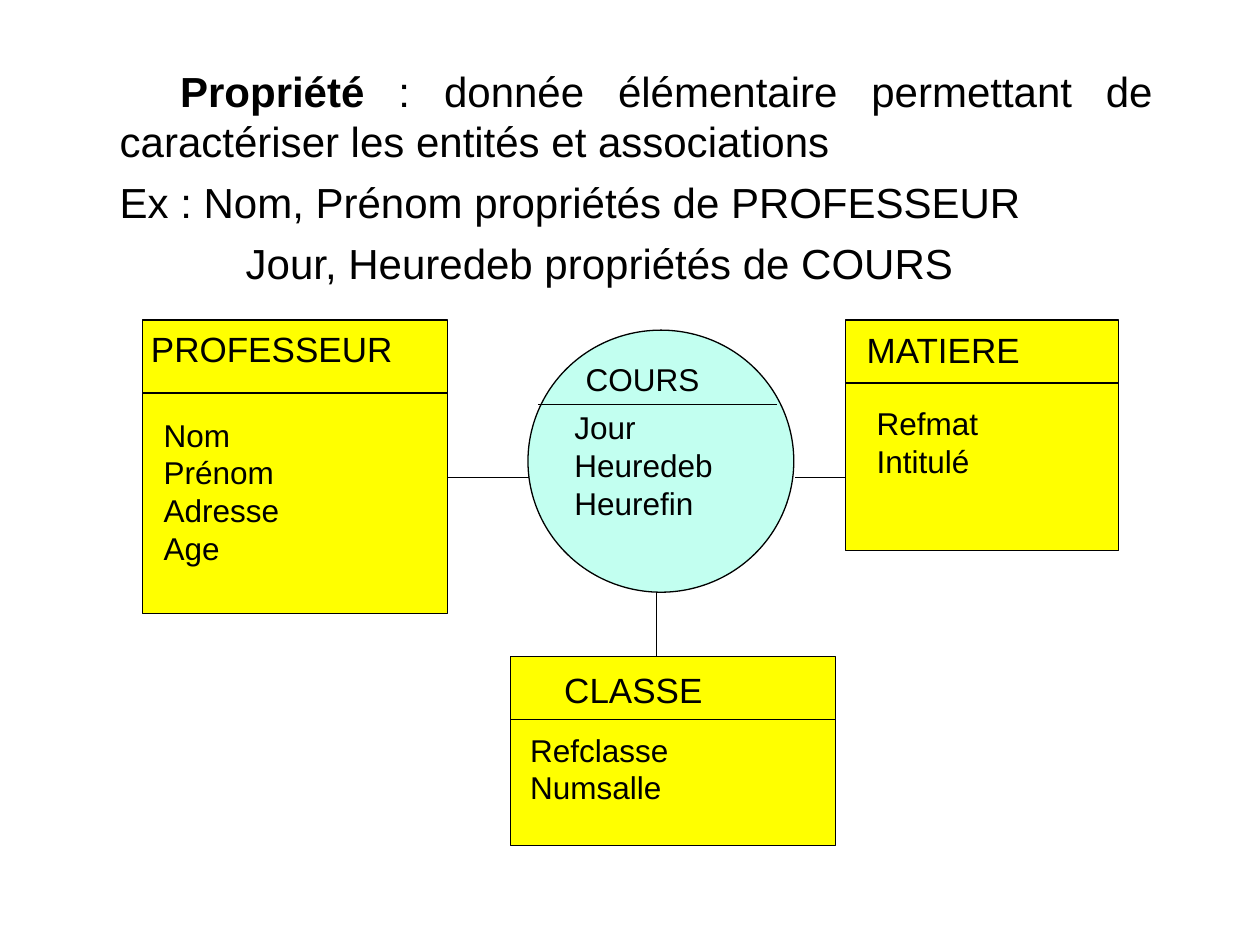
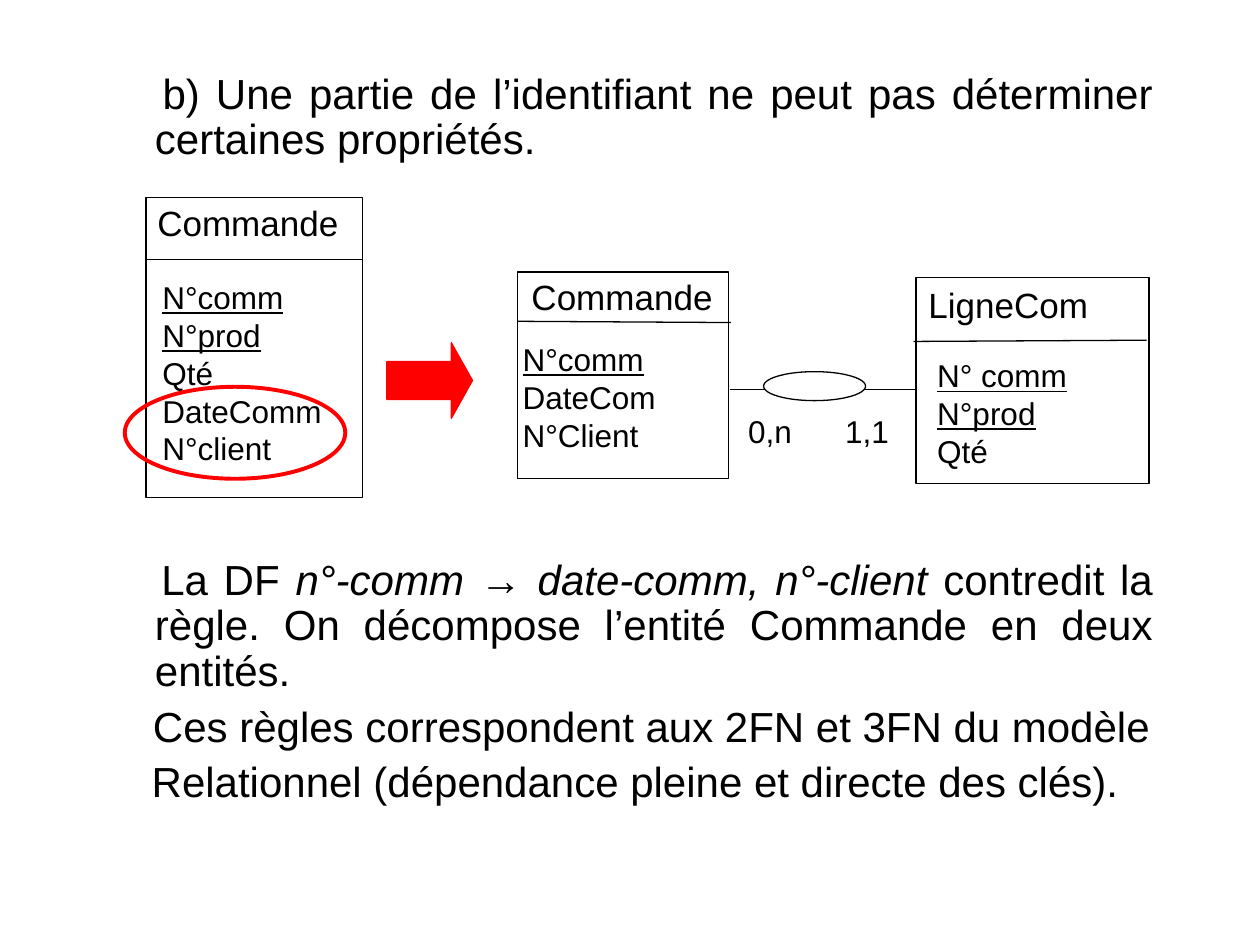
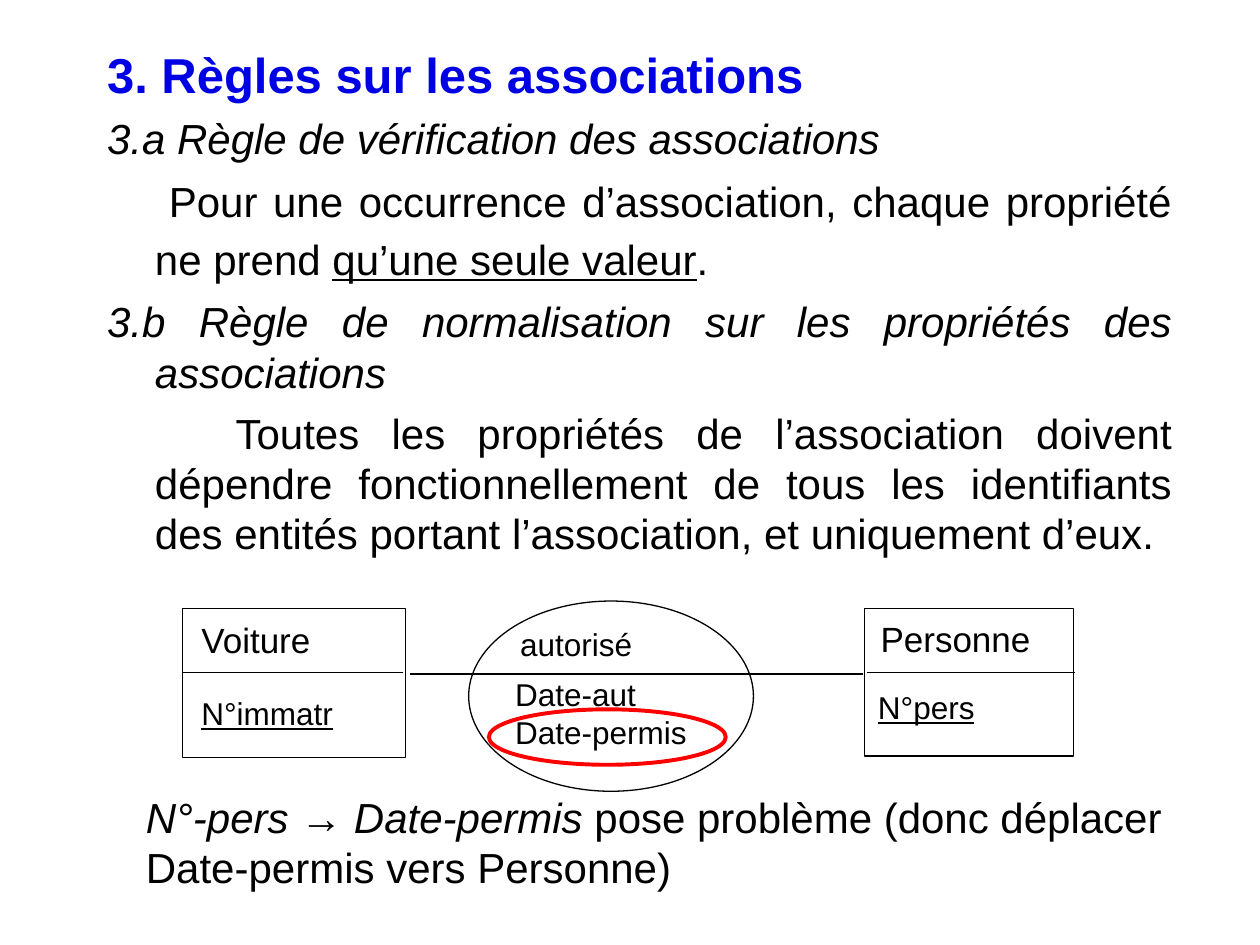
from lxml import etree
from pptx import Presentation
from pptx import util as u
from pptx.dml.color import RGBColor
from pptx.enum import shapes, text
from pptx.oxml.ns import qn

# Shared look
BLACK = RGBColor(0x00, 0x00, 0x00)
WHITE = RGBColor(0xFF, 0xFF, 0xFF)
YELLOW = RGBColor(0xFF, 0xFF, 0x00)
AQUA = RGBColor(0xC2, 0xFF, 0xF0)
RED = RGBColor(0xFF, 0x00, 0x00)
BLUE = RGBColor(0x00, 0x00, 0xE5)
FONT = "Arial"
BODY_SIZE, NAME_SIZE, LIST_SIZE = 24, 20, 18
HANG = 0.38
RECT = shapes.MSO_SHAPE.RECTANGLE
OVAL = shapes.MSO_SHAPE.OVAL
ARROW = shapes.MSO_SHAPE.RIGHT_ARROW
LEFT, CENTER, JUSTIFY = text.PP_ALIGN.LEFT, text.PP_ALIGN.CENTER, text.PP_ALIGN.JUSTIFY


def add_run(paragraph, words, size, style="", color=BLACK):
    """Add one run; style holds any of the letters b, i and u."""
    run = paragraph.add_run()
    run.text = words
    run.font.name, run.font.size = FONT, u.Pt(size)
    run.font.color.rgb = color
    run.font.bold, run.font.italic, run.font.underline = (key in style for key in "biu")


def draw(slide, kind, box, fill=None, line=BLACK, weight=0.75):
    """Draw a shape in left, top, width, height, or a line between two points if kind is None."""
    lengths = [u.Inches(length) for length in box]
    if kind is None:
        item = slide.shapes.add_connector(shapes.MSO_CONNECTOR.STRAIGHT, *lengths)
        etree.SubElement(item._element.spPr, qn("a:effectLst"))
    else:
        item = slide.shapes.add_shape(kind, *lengths)
        item.shadow.inherit = False
        if fill is None:
            item.fill.background()
        else:
            item.fill.solid()
            item.fill.fore_color.rgb = fill
    item.line.color.rgb = line
    item.line.width = u.Pt(weight)
    return item


prs = Presentation()
prs.slide_width, prs.slide_height = u.Inches(10), u.Inches(7.5)

# Texts: title, body box, top inset, line spacing, and paragraphs as
# (alignment, left margin, first-line indent, space before, runs)
contents = [
    (None, (0.47, 0.41, 8.78, 6.26), 0.11, 1.0, [
        (JUSTIFY, HANG, 0.48, 6, [
            ("Propriété ", "b"),
            (": donnée élémentaire permettant de caractériser les entités et associations", "")]),
        (JUSTIFY, HANG, 0, 6, [("Ex : Nom, Prénom propriétés de PROFESSEUR", "")]),
        (JUSTIFY, 1.38, 0, 6, [("Jour, Heuredeb propriétés de COURS", "")]),
    ]),
    (None, (0.75, 0.43, 8.5, 6.24), 0.15, 0.9, [
        (JUSTIFY, HANG, 0.06, 6, [
            ("b) Une partie de l’identifiant ne peut pas déterminer certaines propriétés.", "")]),
        (JUSTIFY, HANG, 0.05, 226, [
            ("La DF ", ""),
            ("n°-comm → date-comm, n°-client ", "i"),
            ("contredit la règle. On décompose l’entité Commande en deux entités.", "")]),
        (CENTER, HANG, -0.04, 6, [("Ces règles correspondent aux 2FN et 3FN du modèle", "")]),
        (CENTER, HANG, -0.3, 6, [("Relationnel (dépendance pleine et directe des clés).", "")]),
    ]),
    ("3. Règles sur les associations", (0.75, 0.84, 8.65, 6.22), 0.05, 1.0, [
        (JUSTIFY, HANG, -HANG, 6, [("3.a Règle de vérification des associations", "i")]),
        (JUSTIFY, HANG, 0.11, 3.5, [
            ("Pour une occurrence d’association, chaque propriété ne prend ", ""),
            ("qu’une seule valeur", "u"),
            (".", "")]),
        (JUSTIFY, HANG, -HANG, 7, [
            ("3.b Règle de normalisation sur les propriétés des associations", "i")]),
        (JUSTIFY, HANG, 0.64, 6, [
            ("Toutes les propriétés de l’association doivent dépendre fonctionnellement de tous "
             "les identifiants des entités portant l’association, et uniquement d’eux.", "")]),
    ]),
]

for heading, box, top_inset, spacing, paragraphs in contents:
    slide = prs.slides.add_slide(prs.slide_layouts[1])
    title, body = slide.placeholders

    # Title
    if heading is None:
        title._element.getparent().remove(title._element)
    else:
        title.left, title.top, title.width, title.height = map(u.Inches, (0.75, 0.3, 8.65, 0.55))
        title.text_frame.vertical_anchor = text.MSO_ANCHOR.TOP
        title.text_frame.auto_size = text.MSO_AUTO_SIZE.NONE
        title.text_frame.paragraphs[0].alignment = LEFT
        add_run(title.text_frame.paragraphs[0], heading, 28, "b", BLUE)

    # Body
    body.left, body.top, body.width, body.height = map(u.Inches, box)
    frame = body.text_frame
    frame.auto_size = text.MSO_AUTO_SIZE.NONE
    frame.margin_top = u.Inches(top_inset)
    for number, (alignment, margin, indent, before, runs) in enumerate(paragraphs):
        paragraph = frame.add_paragraph() if number else frame.paragraphs[0]
        paragraph.alignment = alignment
        paragraph.line_spacing = spacing
        paragraph.space_before = u.Pt(before)
        properties = paragraph._p.get_or_add_pPr()
        properties.set("marL", str(u.Inches(margin)))
        properties.set("indent", str(u.Inches(indent)))
        etree.SubElement(properties, qn("a:buNone"))
        for words, style in runs:
            add_run(paragraph, words, BODY_SIZE, style)

properties_slide, decomposition, association_rules = prs.slides

# The rule 3.a is set wider than the rest
association_rules.placeholders[1].text_frame.paragraphs[1].line_spacing = 1.14

# Links between entities and associations
links = [
    (properties_slide, (3.55, 3.79, 4.22, 3.79)),
    (properties_slide, (6.31, 3.79, 6.71, 3.79)),
    (properties_slide, (5.21, 4.71, 5.21, 5.21)),
    (decomposition, (5.79, 3.09, 7.26, 3.09)),
]
for slide, ends in links:
    draw(slide, None, ends)
draw(decomposition, OVAL, (6.06, 2.95, 0.81, 0.23), WHITE)

# Entities and associations: shape, box, fill, divider, name (left, top, width),
# attribute list (left, top, width), attributes, number of underlined keys
figures = [
    (properties_slide, RECT, (1.13, 2.54, 2.42, 2.33), YELLOW, (1.13, 3.12, 3.55, 3.12),
     "PROFESSEUR", (1.1, 2.55, 2.3), (1.2, 3.25, 1.4), ["Nom", "Prénom", "Adresse", "Age"], 0),
    (properties_slide, OVAL, (4.19, 2.62, 2.11, 2.08), AQUA, (4.27, 3.21, 6.17, 3.21),
     "COURS", (4.55, 2.81, 1.3), (4.46, 3.19, 1.6), ["Jour", "Heuredeb", "Heurefin"], 0),
    (properties_slide, RECT, (6.71, 2.54, 2.17, 1.83), YELLOW, (6.71, 3.04, 8.88, 3.04),
     "MATIERE", (6.78, 2.56, 1.6), (6.86, 3.16, 1.3), ["Refmat", "Intitulé"], 0),
    (properties_slide, RECT, (4.05, 5.21, 2.58, 1.5), YELLOW, (4.05, 5.71, 6.63, 5.71),
     "CLASSE", (4.38, 5.26, 1.5), (4.11, 5.75, 1.5), ["Refclasse", "Numsalle"], 0),
    (decomposition, RECT, (1.16, 1.57, 1.72, 2.38), WHITE, (1.16, 2.06, 2.88, 2.06),
     "Commande", (1.15, 1.55, 1.8), (1.19, 2.16, 1.7),
     ["N°comm", "N°prod", "Qté", "DateComm", "N°client"], 2),
    (decomposition, RECT, (4.11, 2.16, 1.67, 1.64), WHITE, (4.11, 2.55, 5.8, 2.56),
     "Commande", (4.12, 2.14, 1.8), (4.05, 2.65, 1.65), ["N°comm", "DateCom", "N°Client"], 1),
    (decomposition, RECT, (7.27, 2.2, 1.85, 1.64), WHITE, (7.25, 2.71, 9.1, 2.7),
     "LigneCom", (7.27, 2.2, 1.8), (7.34, 2.78, 1.76), ["N° comm", "N°prod", "Qté"], 2),
    (association_rules, RECT, (1.45, 4.83, 1.77, 1.18), WHITE, (1.45, 5.34, 3.2, 5.34),
     "Voiture", (1.5, 4.86, 1.4), (1.5, 5.46, 1.5), ["N°immatr"], 1),
    (association_rules, RECT, (6.86, 4.83, 1.66, 1.17), WHITE, (6.88, 5.34, 8.53, 5.34),
     "Personne", (6.89, 4.85, 1.6), (6.87, 5.41, 1.3), ["N°pers"], 1),
    (association_rules, OVAL, (3.72, 4.77, 2.26, 1.51), WHITE, (3.25, 5.35, 6.85, 5.35),
     "autorisé", (4.03, 4.91, 1.4), (3.99, 5.31, 1.8), ["Date-aut", "Date-permis"], 0),
]
labels = [
    (decomposition, (5.84, 3.22, 0.7), ["0,n"], LIST_SIZE, 0),
    (decomposition, (6.61, 3.22, 0.7), ["1,1"], LIST_SIZE, 0),
]
for slide, kind, box, fill, divider, name, name_at, list_at, attributes, keys in figures:
    draw(slide, kind, box, fill)
    draw(slide, None, divider)
    labels.append((slide, name_at, [name], NAME_SIZE if kind == RECT else LIST_SIZE, 0))
    labels.append((slide, list_at, attributes, LIST_SIZE, keys))

# Names, attributes and cardinalities
for slide, (left, top, width), lines, size, keys in labels:
    height = 0.1 + len(lines) * size / 60
    frame = slide.shapes.add_textbox(*map(u.Inches, (left, top, width, height))).text_frame
    frame.word_wrap = True
    for number, words in enumerate(lines):
        paragraph = frame.add_paragraph() if number else frame.paragraphs[0]
        add_run(paragraph, words, size, "u" if number < keys else "")

# Red marks: the step to the new model and the misplaced properties
step = draw(decomposition, ARROW, (3.07, 2.72, 0.68, 0.6), RED, RED)
step.adjustments[1] = 0.28
draw(decomposition, OVAL, (0.99, 3.07, 1.75, 0.73), None, RED, 2.25)
draw(association_rules, OVAL, (3.88, 5.63, 1.88, 0.44), None, RED, 2.25)

# Conclusion under the last diagram
conclusion = association_rules.shapes.add_textbox(*map(u.Inches, (1.06, 6.23, 8.7, 0.9))).text_frame
conclusion.word_wrap = True
add_run(conclusion.paragraphs[0], "N°-pers → Date-permis", BODY_SIZE, "i")
add_run(conclusion.paragraphs[0], " pose problème (donc déplacer Date-permis vers Personne)", BODY_SIZE)

prs.save("out.pptx")
